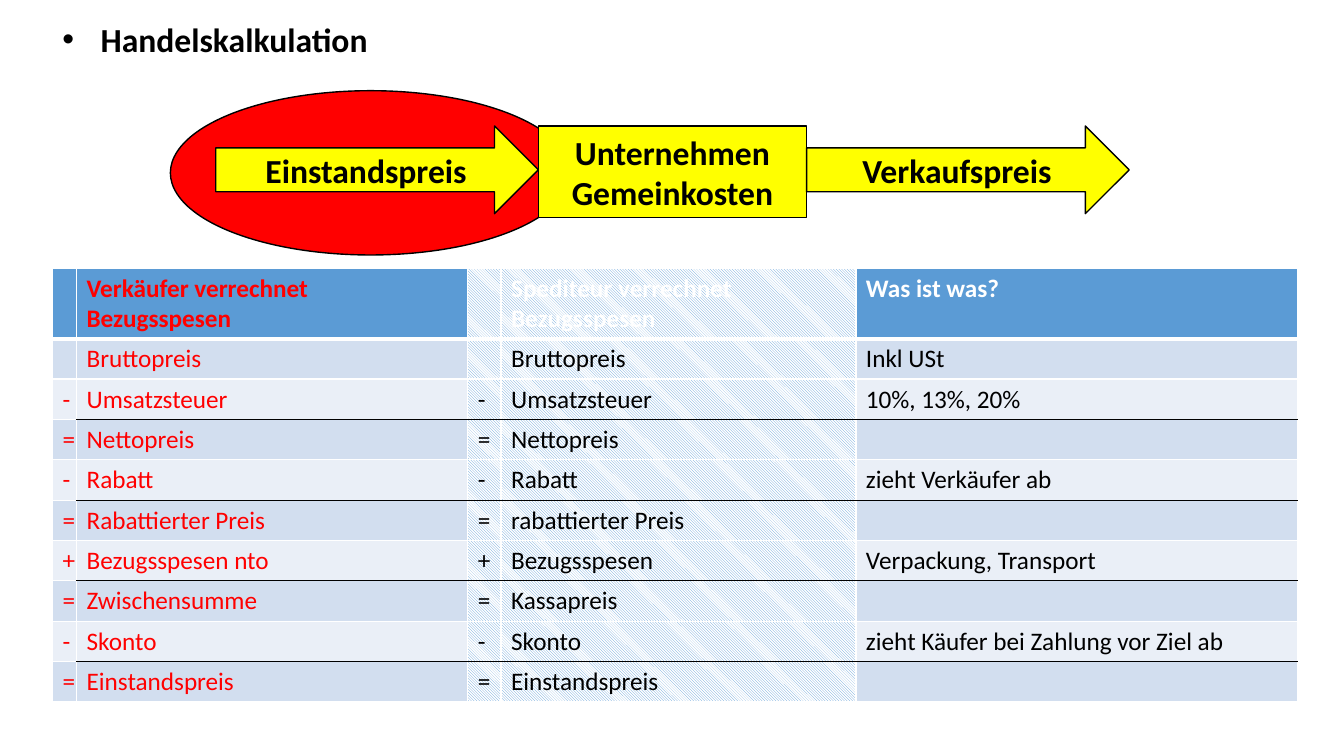
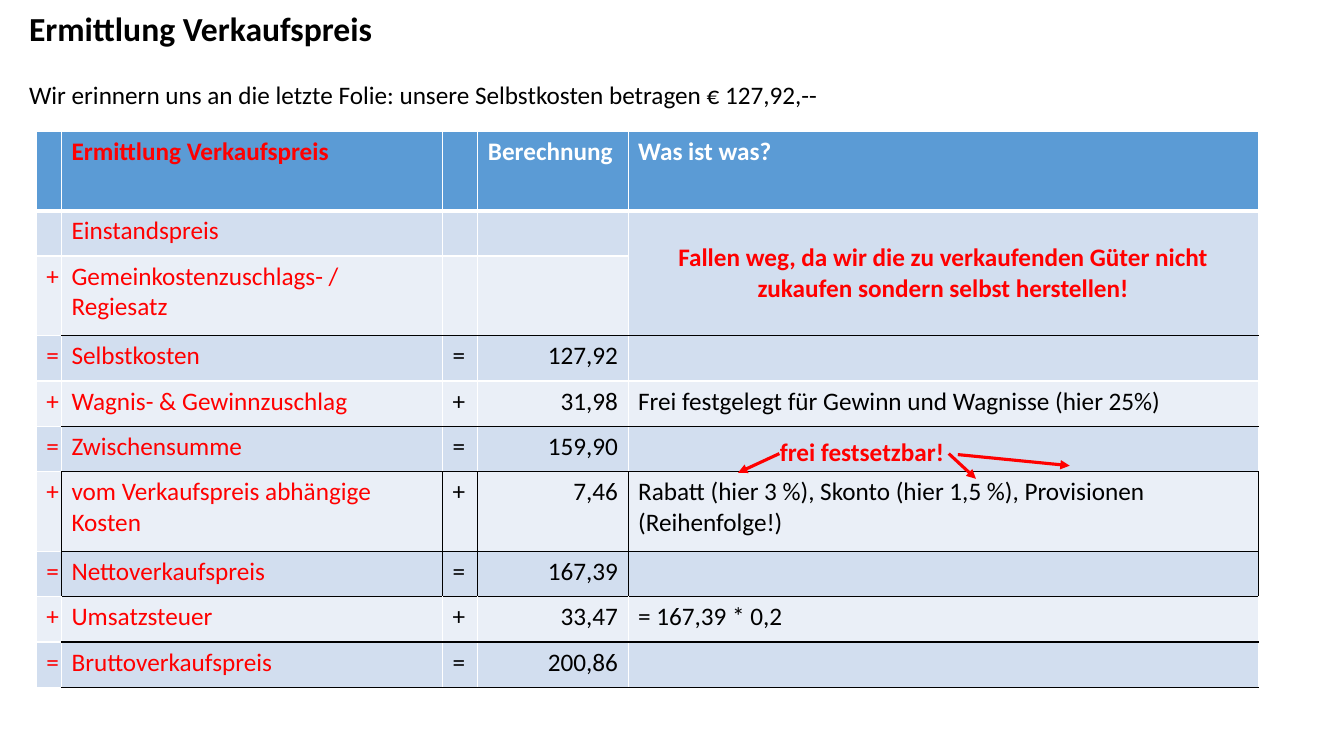
from lxml import etree
from pptx import Presentation
from pptx.dml.color import RGBColor
from pptx.enum.dml import MSO_PATTERN
from pptx.enum.shapes import MSO_CONNECTOR, MSO_SHAPE
from pptx.enum.text import MSO_ANCHOR, PP_ALIGN
from pptx.oxml.ns import qn
from pptx.util import Inches, Pt

FONT = "Calibri"
TITLE_SIZE, BODY_SIZE = 24, 18
COLORS = {
    "black": "000000", "white": "FFFFFF", "red": "FF0000", "yellow": "FFFF00",
    "header": "5B9BD5", "band_dark": "D2DEEF", "band_light": "EAEFF7",
}
LEFT, CENTER, RIGHT = PP_ALIGN.LEFT, PP_ALIGN.CENTER, PP_ALIGN.RIGHT
MIDDLE = MSO_ANCHOR.MIDDLE
HATCH = MSO_PATTERN.LIGHT_DOWNWARD_DIAGONAL
STRAIGHT = MSO_CONNECTOR.STRAIGHT
OVAL, RECTANGLE, ARROW = MSO_SHAPE.OVAL, MSO_SHAPE.RECTANGLE, MSO_SHAPE.RIGHT_ARROW

PURCHASE_ROWS = [
    ["", "Verkäufer verrechnet Bezugsspesen", "", "Spediteur verrechnet Bezugsspesen", "Was ist was?"],
    ["", "Bruttopreis", "", "Bruttopreis", "Inkl USt"],
    ["-", "Umsatzsteuer", "-", "Umsatzsteuer", "10%, 13%, 20%"],
    ["=", "Nettopreis", "=", "Nettopreis", ""],
    ["-", "Rabatt", "-", "Rabatt", "zieht Verkäufer ab"],
    ["=", "Rabattierter Preis", "=", "rabattierter Preis", ""],
    ["+", "Bezugsspesen nto", "+", "Bezugsspesen", "Verpackung, Transport"],
    ["=", "Zwischensumme", "=", "Kassapreis", ""],
    ["-", "Skonto", "-", "Skonto", "zieht Käufer bei Zahlung vor Ziel ab"],
    ["=", "Einstandspreis", "=", "Einstandspreis", ""],
]
SALES_ROWS = [
    ["", "Ermittlung Verkaufspreis", "", "Berechnung", "Was ist was?"],
    ["", "Einstandspreis", "", "",
     "Fallen weg, da wir die zu verkaufenden Güter nicht zukaufen sondern selbst herstellen!"],
    ["+", "Gemeinkostenzuschlags- / Regiesatz", "", "", ""],
    ["=", "Selbstkosten", "=", "127,92", ""],
    ["+", "Wagnis- & Gewinnzuschlag", "+", "31,98", "Frei festgelegt für Gewinn und Wagnisse (hier 25%)"],
    ["=", "Zwischensumme", "=", "159,90", ""],
    ["+", "vom Verkaufspreis abhängige Kosten", "+", "7,46",
     "Rabatt (hier 3 %), Skonto (hier 1,5 %), Provisionen (Reihenfolge!)"],
    ["=", "Nettoverkaufspreis", "=", "167,39", ""],
    ["+", "Umsatzsteuer", "+", "33,47", "= 167,39 * 0,2"],
    ["=", "Bruttoverkaufspreis", "=", "200,86", ""],
]


def rgb(name):
    return RGBColor.from_string(COLORS[name])


def inches(values):
    return [Inches(value) for value in values]


def style_paragraph(paragraph, size, color="black", bold=False, align=LEFT):
    paragraph.alignment = align
    font = paragraph.font
    font.name, font.size, font.bold = FONT, Pt(size), bold
    font.color.rgb = rgb(color)


def add_text(slide, box, text):
    """Add a wrapping text box and return its text frame."""
    frame = slide.shapes.add_textbox(*inches(box)).text_frame
    frame.word_wrap = True
    frame.text = text
    return frame


def add_bullet(paragraph, indent):
    properties = paragraph._p.get_or_add_pPr()
    properties.set("marL", str(Inches(indent)))
    properties.set("indent", str(-Inches(indent)))
    etree.SubElement(properties, qn("a:buFont")).set("typeface", "Arial")
    etree.SubElement(properties, qn("a:buChar")).set("char", "•")


def add_figure(shapes, kind, box, fill, text="", line_width=1):
    shape = shapes.add_shape(kind, *inches(box))
    shape.shadow.inherit = False
    shape.fill.solid()
    shape.fill.fore_color.rgb = rgb(fill)
    shape.line.color.rgb = rgb("black")
    shape.line.width = Pt(line_width)
    shape.text_frame.text = text
    for paragraph in shape.text_frame.paragraphs:
        style_paragraph(paragraph, TITLE_SIZE, bold=True, align=CENTER)


def add_pointer(slide, start, end):
    """Add a red line with an arrowhead at its end."""
    connector = slide.shapes.add_connector(STRAIGHT, *inches(start + end))
    connector.line.color.rgb = rgb("red")
    connector.line.width = Pt(2.25)
    etree.SubElement(connector.line._get_or_add_ln(), qn("a:tailEnd")).set("type", "triangle")
    etree.SubElement(connector._element.spPr, qn("a:effectLst"))


def set_borders(cell, borders):
    """Draw (colour, width) borders given in the order left, right, top, bottom."""
    properties = cell._tc.get_or_add_tcPr()
    position = 0
    for side, border in zip("LRTB", borders):
        if border is None:
            continue
        color, width = border
        line = etree.Element(qn("a:ln" + side), w=str(Pt(width)))
        fill = etree.SubElement(line, qn("a:solidFill"))
        etree.SubElement(fill, qn("a:srgbClr")).set("val", COLORS[color])
        properties.insert(position, line)
        position += 1


def horizontal_border(rows, edge, column, open_rows, closing_line):
    """Border above row number `edge`; every result row has a black line above it."""
    if edge == 1:
        return "white", 3
    is_result = edge < len(rows) and rows[edge][0] == "="
    if column > 0 and (is_result or (edge == len(rows) and closing_line)):
        return "black", 1
    if column > 0 and {edge - 1, edge} & set(open_rows):
        return None
    return "white", 1


def fill_cell(cell, row, hatched):
    if hatched:
        cell.fill.patterned()
        cell.fill.pattern = HATCH
        cell.fill.fore_color.rgb = rgb("header")
        cell.fill.back_color.rgb = rgb("white")
    else:
        cell.fill.solid()
        band = "band_dark" if row % 2 else "band_light"
        cell.fill.fore_color.rgb = rgb(band if row else "header")


def add_calculation(slide, position, rows, widths, heights, hatched=(),
                    number_column=None, open_rows=(), closing_line=False):
    """Add a calculation table; rows in open_rows have no inner white lines."""
    size = sum(widths), sum(heights)
    frame = slide.shapes.add_table(len(rows), len(widths), *inches(position + size))
    table = frame.table
    table.first_row = table.horz_banding = False
    properties = table._tbl.tblPr
    properties.remove(properties.find(qn("a:tableStyleId")))
    for column, width in zip(table.columns, widths):
        column.width = Inches(width)
    for table_row, height in zip(table.rows, heights):
        table_row.height = Inches(height)
    for row, texts in enumerate(rows):
        for column, text in enumerate(texts):
            cell = table.cell(row, column)
            cell.text = text
            color = "red" if column < 2 else "black" if row else "white"
            align = RIGHT if row and column == number_column else LEFT
            style_paragraph(cell.text_frame.paragraphs[0], BODY_SIZE, color, row == 0, align)
            fill_cell(cell, row, column in hatched)
            is_open = row in open_rows
            left = None if is_open and column else ("white", 1)
            right = None if is_open else ("white", 1)
            top, bottom = (horizontal_border(rows, edge, column, open_rows, closing_line)
                           for edge in (row, row + 1))
            set_borders(cell, (left, right, top, bottom))
    return table


def merge_note(table, first, last):
    """Merge cells into one centred red note that keeps the last cell's bottom line."""
    cell = table.cell(*first)
    cell.merge(table.cell(*last))
    cell.vertical_anchor = MIDDLE
    style_paragraph(cell.text_frame.paragraphs[0], BODY_SIZE, "red", True, CENTER)
    properties = cell._tc.tcPr
    properties.remove(properties.find(qn("a:lnB")))
    bottom_line = table.cell(*last)._tc.tcPr.find(qn("a:lnB"))
    properties.insert(3, etree.fromstring(etree.tostring(bottom_line)))


def build_purchase_slide(slide):
    add_figure(slide.shapes, OVAL, (1.69, 0.9, 3.97, 1.63), "red")
    title = add_text(slide, (0.52, 0.14, 12.62, 2.52), "Handelskalkulation").paragraphs[0]
    add_bullet(title, 0.38)
    style_paragraph(title, TITLE_SIZE, bold=True)

    flow = slide.shapes.add_group_shape().shapes
    add_figure(flow, RECTANGLE, (5.34, 1.25, 2.66, 0.91), "yellow", "Unternehmen\nGemeinkosten", 0.75)
    for left, text in ((2.14, "Einstandspreis"), (8, "Verkaufspreis")):
        add_figure(flow, ARROW, (left, 1.25, 3.2, 0.87), "yellow", text)

    add_calculation(slide, (0.52, 2.66), PURCHASE_ROWS, (0.23, 3.88, 0.33, 3.52, 4.38),
                    [0.7] + [0.4] * 9, hatched=(2, 3))


def build_sales_slide(slide):
    heading = add_text(slide, (0.19, 0.03, 12.97, 1.11),
                       "Ermittlung Verkaufspreis\n"
                       "Wir erinnern uns an die letzte Folie: unsere Selbstkosten betragen € 127,92,--")
    title, reminder = heading.paragraphs
    style_paragraph(title, TITLE_SIZE, bold=True)
    reminder.space_before = Pt(22)
    style_paragraph(reminder, BODY_SIZE)

    tall_rows = (0, 2, 6)
    heights = [0.79 if row in tall_rows else 0.45 for row in range(len(SALES_ROWS))]
    table = add_calculation(slide, (0.36, 1.3), SALES_ROWS, (0.25, 3.78, 0.35, 1.49, 6.25), heights,
                            number_column=3, open_rows=(6, 7), closing_line=True)
    merge_note(table, (1, 4), (2, 4))

    note = add_text(slide, (7.32, 4.28, 2.46, 0.4), "frei festsetzbar!")
    style_paragraph(note.paragraphs[0], BODY_SIZE, "red", True, CENTER)
    for start, end in (((7.73, 4.5), (7.32, 4.69)),
                       ((9.41, 4.5), (9.68, 4.75)),
                       ((9.5, 4.51), (10.61, 4.62))):
        add_pointer(slide, start, end)


def main():
    presentation = Presentation()
    presentation.slide_width, presentation.slide_height = inches((13.33, 7.5))
    blank = presentation.slide_layouts[6]
    for build in (build_purchase_slide, build_sales_slide):
        build(presentation.slides.add_slide(blank))
    presentation.save("out.pptx")


if __name__ == "__main__":
    main()
